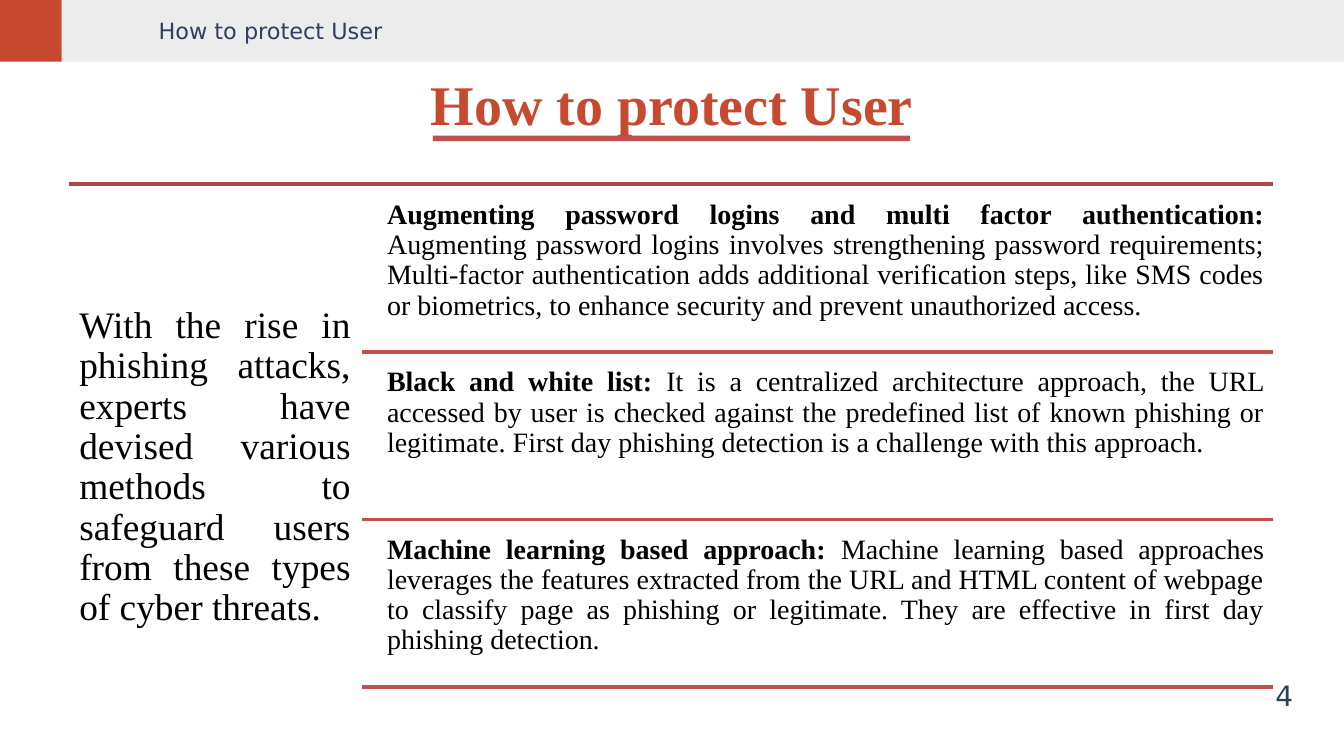
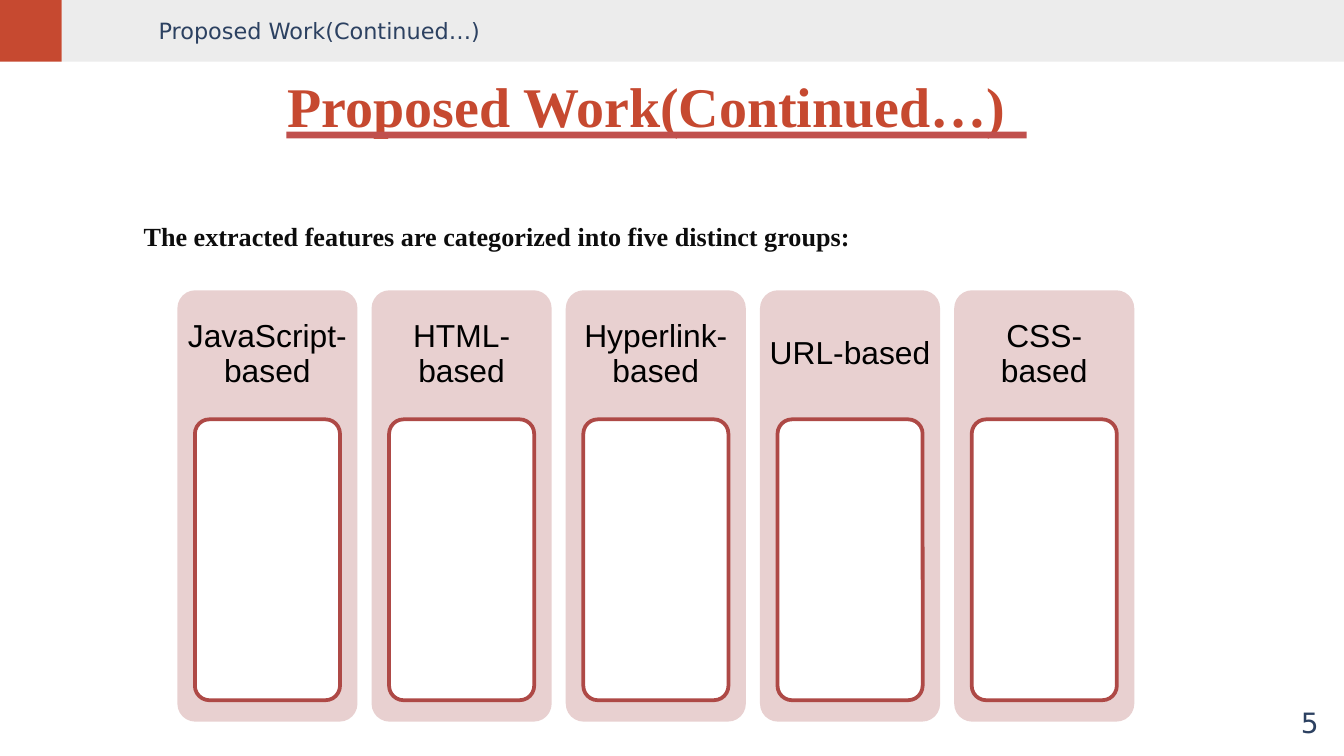
from lxml import etree
from pptx import Presentation
from pptx.dml.color import RGBColor
from pptx.enum import shapes, text
from pptx.oxml.ns import qn
from pptx.util import Inches, Pt

COLORS = {
    "band": "ECECEC", "accent": "C64930", "rule": "C0504D", "dark_rule": "AE4946",
    "navy": "2C4161", "black": "000000", "soft_black": "0D0D0D",
    "pink": "E8D0D0", "white": "FFFFFF",
}
SERIF, SANS, ARIAL = "Times New Roman", "DejaVu Sans", "Arial"
ALIGN = text.PP_ALIGN
RECT = shapes.MSO_SHAPE.RECTANGLE
ROUNDED = shapes.MSO_SHAPE.ROUNDED_RECTANGLE


def add_text(slide, box, runs, size, font, color, align=ALIGN.LEFT, insets=(0, 0.01, 0, 0),
             anchor=text.MSO_ANCHOR.TOP, spacing=None):
    """Add one paragraph of (wording, bold) runs; insets go left, top, right, bottom."""
    frame = slide.shapes.add_textbox(*map(Inches, box)).text_frame
    frame.word_wrap = True
    frame.vertical_anchor = anchor
    (frame.margin_left, frame.margin_top,
     frame.margin_right, frame.margin_bottom) = map(Inches, insets)
    paragraph = frame.paragraphs[0]
    paragraph.alignment = align
    if spacing:
        paragraph.line_spacing = spacing
        paragraph.space_after = Pt(round(0.35 * size))
    for wording, bold in runs:
        run = paragraph.add_run()
        run.text = wording
        run.font.bold = bold
    paragraph.font.size = Pt(size)
    paragraph.font.name = font
    paragraph.font.color.rgb = RGBColor.from_string(COLORS[color])


def add_block(slide, kind, box, fill, line=None):
    block = slide.shapes.add_shape(kind, *map(Inches, box))
    block.shadow.inherit = False
    block.fill.solid()
    block.fill.fore_color.rgb = RGBColor.from_string(COLORS[fill])
    if line:
        block.line.color.rgb = RGBColor.from_string(COLORS[line])
        block.line.width = Pt(2)
    else:
        block.line.fill.background()
    if kind == ROUNDED:
        block.adjustments[0] = 0.1


prs = Presentation()
prs.slide_width = Inches(10)
prs.slide_height = prs.slide_width * 9 // 16

# Bands, page number, title with underline and running header
pages = [
    ("How to protect User", "4", (9.48, 5.04), (0, 0.51, 10, 0.51), ALIGN.CENTER,
     (3.22, 1.01, 3.55, 0.04)),
    ("Proposed Work(Continued…)", "5", (9.67, 5.24), (2.14, 0.52, 5.51, 0.51), ALIGN.LEFT,
     (2.13, 0.98, 5.51, 0.05)),
]
slides = []
for title, number, number_at, title_box, title_align, underline in pages:
    slide = prs.slides.add_slide(prs.slide_layouts[6])
    slides.append(slide)
    add_block(slide, RECT, (0.46, 0, 9.54, 0.46), "band")
    add_block(slide, RECT, (0, 0, 0.46, 0.46), "accent")
    add_text(slide, (*number_at, 0.15, 0.26), [(number, False)], 15, SANS, "navy",
             insets=(0.01, 0.01, 0, 0))
    add_text(slide, title_box, [(title, True)], 30, SERIF, "accent", title_align)
    add_block(slide, RECT, underline, "rule")
    add_text(slide, (0.16, 0.12, 3.71, 0.21), [(title, False)], 12, SANS, "navy",
             insets=(1.02, 0.01, 0, 0))

protect, proposed = slides

# Protection methods: introduction on the left, ruled rows on the right
methods = [
    ("Augmenting password logins and multi factor authentication: ",
     "Augmenting password logins involves strengthening password requirements; "
     "Multi-factor authentication adds additional verification steps, like SMS codes "
     "or biometrics, to enhance security and prevent unauthorized access."),
    ("Black and white list: ",
     "It is a centralized architecture approach, the URL accessed by user is checked "
     "against the predefined list of known phishing or legitimate. First day phishing "
     "detection is a challenge with this approach."),
    ("Machine learning based approach: ",
     "Machine learning based approaches leverages the features extracted from the URL "
     "and HTML content of webpage to classify page as phishing or legitimate. They are "
     "effective in first day phishing detection."),
]
add_text(protect, (0.51, 1.37, 2.18, 3.8),
         [("With the rise in phishing attacks, experts have devised various methods to "
           "safeguard users from these types of cyber threats.", False)],
         20, SERIF, "black", ALIGN.JUSTIFY, (0.08, 0.91, 0.08, 0.08), spacing=0.9)

rules = [(0.51, 1.37, "dark_rule")]
first_top, last_top = 1.43, 3.92
row_pitch = (last_top - first_top) / (len(methods) - 1)
for row, (heading, explanation) in enumerate(methods):
    top = first_top + row_pitch * row
    add_text(protect, (2.82, top, 6.65, 1.19), [(heading, True), (explanation, False)],
             15, SERIF, "black", ALIGN.JUSTIFY, (0.06,) * 4, spacing=0.9)
    rules.append((2.69, top + 1.19, "rule"))

for left, y, color in rules:
    rule = protect.shapes.add_connector(shapes.MSO_CONNECTOR.STRAIGHT, Inches(left), Inches(y),
                                        Inches(9.47), Inches(y))
    rule.line.color.rgb = RGBColor.from_string(COLORS[color])
    rule.line.width = Pt(2)
    etree.SubElement(rule._element.spPr, qn("a:effectLst"))

# Feature groups: five equal cards, each with an empty panel
add_text(proposed, (0.97, 1.59, 5.95, 0.34),
         [("The extracted features are categorized into five distinct groups:", True)],
         14, SERIF, "soft_black", insets=(0.1, 0.05, 0.1, 0.05))

groups = ["JavaScript", "HTML", "Hyperlink", "URL", "CSS"]
card_width, panel_width = 1.34, 1.08
first_left, last_left = 1.32, 7.1
pitch = (last_left - first_left) / (len(groups) - 1)
for column, group in enumerate(groups):
    left = first_left + pitch * column
    add_block(proposed, ROUNDED, (left, 2.16, card_width, 3.21), "pink")
    add_text(proposed, (left, 2.16, card_width, 0.96), [(f"{group}-based", False)], 17, ARIAL,
             "black", ALIGN.CENTER, (0.07,) * 4, text.MSO_ANCHOR.MIDDLE, 0.9)
    add_block(proposed, ROUNDED,
              (left + (card_width - panel_width) / 2, 3.12, panel_width, 2.09),
              "white", "dark_rule")

prs.save("out.pptx")
